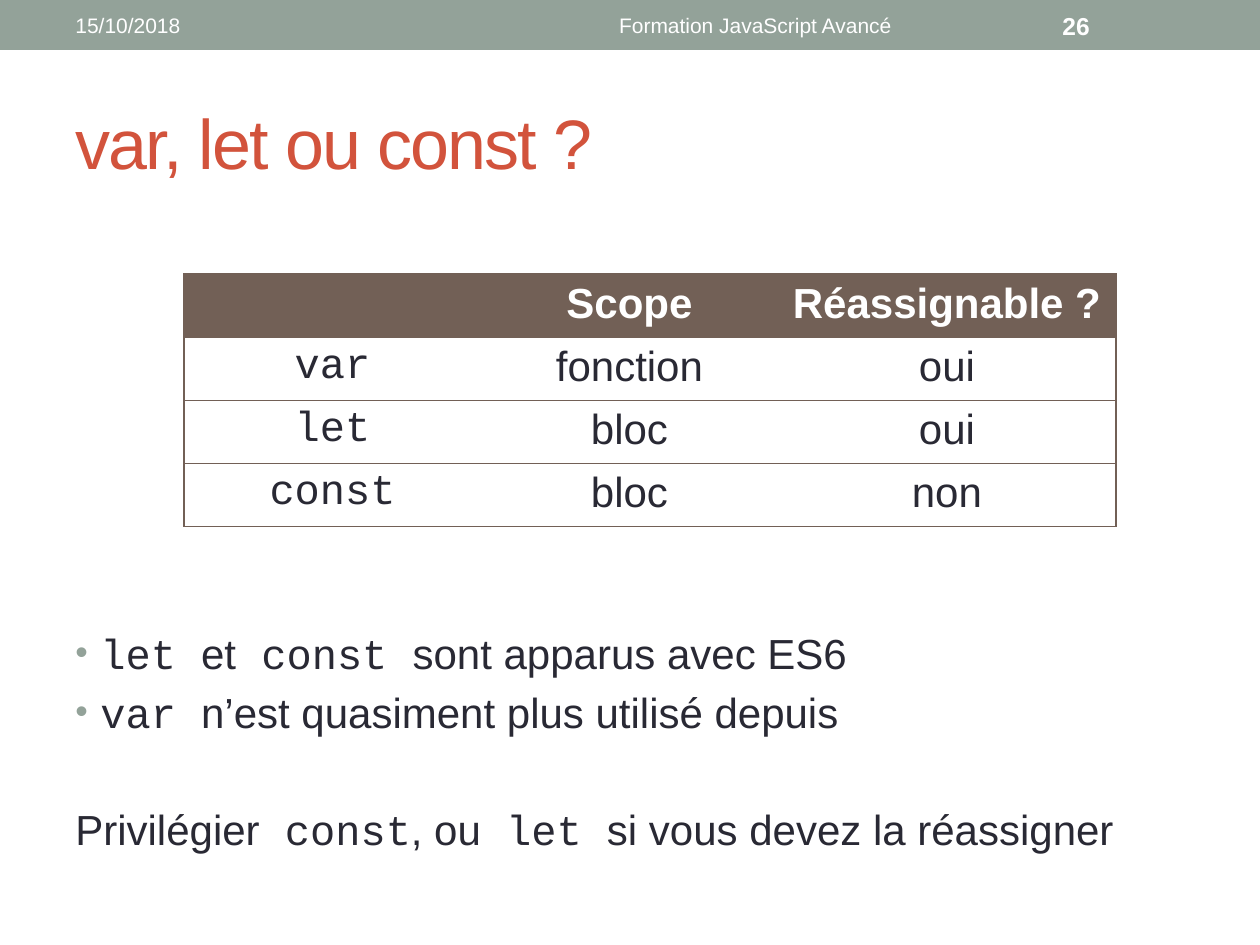
from pptx import Presentation
from pptx.dml.color import RGBColor
from pptx.enum.shapes import MSO_SHAPE as Shape
from pptx.enum.text import MSO_ANCHOR as Anchor, PP_ALIGN as Align
from pptx.oxml import parse_xml
from pptx.oxml.ns import nsdecls
from pptx.util import Pt

SANS, MONO = "Arial", "Courier New"
INK, SAGE, BROWN, RED, WHITE = "292934", "93A299", "726056", "D2533C", "FFFFFF"


def px(n):
    return round(n * 914400 / 126)


def rgb(code):
    return RGBColor.from_string(code)


def style(para, size, color, name=SANS, bold=False, align=Align.LEFT):
    para.alignment = align
    font = para.font
    font.size, font.bold, font.name = Pt(size), bold, name
    font.color.rgb = rgb(color)


def text_box(slide, box, anchor=Anchor.MIDDLE):
    frame = slide.shapes.add_textbox(*map(px, box)).text_frame
    frame.word_wrap = True
    frame.vertical_anchor = anchor
    return frame


def label(slide, box, text, size, color, **look):
    para = text_box(slide, box).paragraphs[0]
    para.text = text
    style(para, size, color, **look)
    return para


def add_header(slide, box):
    x, y, w, h = box
    band = slide.shapes.add_shape(Shape.RECTANGLE, *map(px, box))
    band.shadow.inherit = False
    band.fill.solid()
    band.fill.fore_color.rgb = rgb(SAGE)
    band.line.fill.background()
    top, tall = y + 3, h - 5
    label(slide, (x + 63, top, 400, tall), "15/10/2018", 12, WHITE)
    label(slide, (x + 472, top, 567, tall), "Formation JavaScript Avancé",
          12, WHITE, align=Align.CENTER)
    label(slide, (x + 1050, top, 147, tall), "26", 14, WHITE, bold=True)


def add_title(slide, box):
    para = label(slide, box, "var, let ou const ?", 40, RED)
    para.runs[0]._r.get_or_add_rPr().set("spc", "-100")


def set_edges(cell, shown):
    props = cell._tc.get_or_add_tcPr()
    for i, side in enumerate("LRTB"):
        paint = "<a:noFill/>"
        if side in shown:
            paint = f'<a:solidFill><a:srgbClr val="{BROWN}"/></a:solidFill>'
        edge = f'<a:ln{side} {nsdecls("a")} w="9525">{paint}</a:ln{side}>'
        props.insert(i, parse_xml(edge))


def add_grid(slide, box):
    rows = [("", "Scope", "Réassignable ?"),
            ("var", "fonction", "oui"),
            ("let", "bloc", "oui"),
            ("const", "bloc", "non")]
    table = slide.shapes.add_table(len(rows), 3, *map(px, box)).table
    table.horz_banding = False
    for col, wide in zip(table.columns, (297, 297, box[2] - 594)):
        col.width = px(wide)
    for r, row in enumerate(rows):
        for c, text in enumerate(row):
            cell = table.cell(r, c)
            if r == 0:
                cell.fill.solid()
                cell.fill.fore_color.rgb = rgb(BROWN)
            else:
                cell.fill.background()
            set_edges(cell, "TB" + {0: "L", 2: "R"}.get(c, ""))
            para = cell.text_frame.paragraphs[0]
            para.text = text
            style(para, 24, INK if r else WHITE, MONO if r and c == 0 else SANS,
                  bold=r == 0, align=Align.CENTER)


def add_bullet(para):
    props = para._p.get_or_add_pPr()
    props.set("marL", str(px(25)))
    props.set("indent", str(px(-25)))
    for item in (f'buClr {nsdecls("a")}><a:srgbClr val="{SAGE}"/></a:buClr>',
                 f'buSzPct {nsdecls("a")} val="85000"/>',
                 f'buFont {nsdecls("a")} typeface="{SANS}"/>',
                 f'buChar {nsdecls("a")} char="•"/>'):
        props.append(parse_xml("<a:" + item))


def add_notes(slide, box):
    lines = [
        (True, 0, [("let ", MONO), ("et", SANS), (" const ", MONO),
                   ("sont apparus avec ES6", SANS)]),
        (True, 5, [("var ", MONO), ("n’est quasiment plus utilisé depuis", SANS)]),
        (False, 38, [("Privilégier", SANS), (" const", MONO), (", ou", SANS),
                     (" let ", MONO), ("si vous devez la réassigner", SANS)]),
    ]
    frame = text_box(slide, box, Anchor.TOP)
    for i, (dot, gap, parts) in enumerate(lines):
        para = frame.add_paragraph() if i else frame.paragraphs[0]
        if dot:
            add_bullet(para)
        para.space_before = Pt(gap)
        style(para, 24, INK)
        for text, name in parts:
            run = para.add_run()
            run.text = text
            run.font.name = name


def main():
    deck = Presentation()
    deck.slide_width, deck.slide_height = px(1260), px(945)
    slide = deck.slides.add_slide(deck.slide_layouts[6])
    add_header(slide, (0, 0, 1260, 50))
    add_title(slide, (63, 73, 1134, 136))
    add_grid(slide, (184, 274, 932, 240))
    add_notes(slide, (63, 621, 1134, 271))
    deck.save("out.pptx")


if __name__ == "__main__":
    main()
